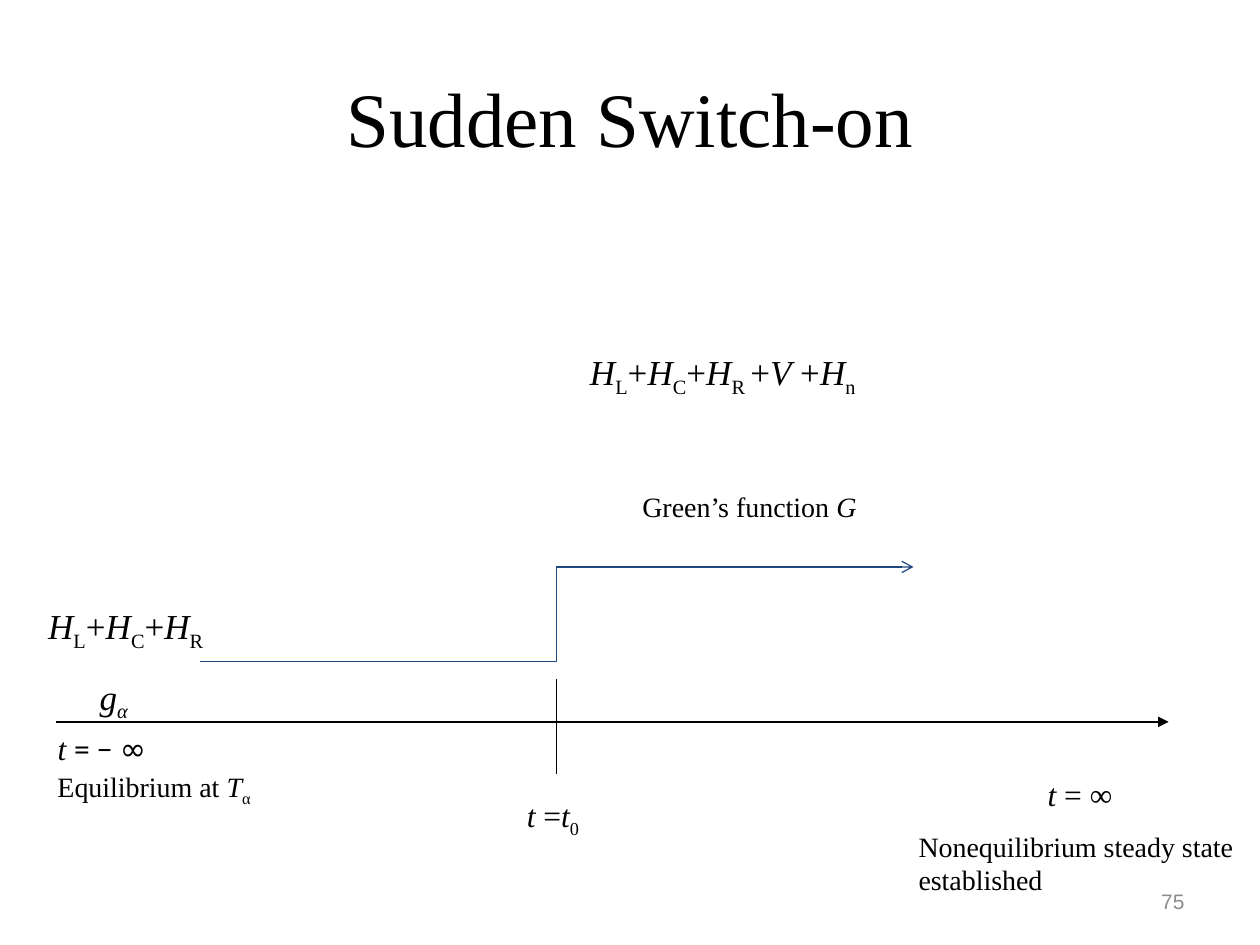
from lxml import etree
from pptx import Presentation
from pptx import util as u
from pptx.dml.color import RGBColor
from pptx.enum import shapes, text
from pptx.oxml import ns

BLACK = RGBColor(0, 0, 0)
BLUE = RGBColor(0x1F, 0x49, 0x7D)
GREY = RGBColor(0x8C, 0x8C, 0x8C)
SERIF = "Times New Roman"
CELL = u.Inches(10) / 120  # the slide is a grid of 120 columns and 90 rows

# Run styles
UP = {}
IT = {"italic": True}
SUB = {"base": -25}
ITSUB = {"italic": True, "base": -25}

# Hamiltonian of the three separate parts
PARTS = [("H", IT), ("L", SUB), ("+", UP), ("H", IT), ("C", SUB),
         ("+", UP), ("H", IT)]

# Labels: column, row, width, height, text size, runs
LABELS = [
    (98.6, 73.2, 11, 4.8, 18, [("t", IT), (" = ∞", UP)]),
    (4.3, 68.8, 16, 4.8, 18, [("t ", IT), ("= − ", {"name": "Calibri"}),
                              ("∞", {"name": "Comic Neue"})]),
    (3.4, 57, 19, 5.3, 20, PARTS + [("R", SUB)]),
    (55, 32.8, 34, 5.3, 20, PARTS + [("R ", SUB), ("+", UP), ("V", IT),
                                     (" +", UP), ("H", IT), ("n", SUB)]),
    (8.3, 63.7, 7.6, 5.2, 20, [("g", IT), ("α", ITSUB)]),
    (60, 46, 29, 4.4, 16, [("Green’s function ", UP), ("G", IT)]),
    (4.3, 72.7, 25, 4.4, 16, [("Equilibrium at ", UP), ("T", IT),
                              ("α", SUB)]),
    (86.3, 78.4, 37.4, 7.7, 16,
     [("Nonequilibrium steady state established", UP)]),
    (49, 75.2, 11, 4.8, 18, [("t ", IT), ("=", UP), ("t", IT), ("0", SUB)]),
]


def grid(*cells):
    return [u.Emu(round(n * CELL)) for n in cells]


def style(font, form):
    for key, val in form.items():
        if key == "color":
            font.color.rgb = val
        else:
            setattr(font, key, val)


def write(para, runs, size, name=SERIF, color=BLACK):
    for words, form in runs:
        run = para.add_run()
        run.text = words
        form = {"size": u.Pt(size), "name": name, "color": color, **form}
        base = form.pop("base", None)
        style(run.font, form)
        if base:
            run.font._element.set("baseline", str(base * 1000))


def label(slide, col, row, wide, high, size, runs, **form):
    box = slide.shapes.add_textbox(*grid(col, row, wide, high))
    frame = box.text_frame
    frame.word_wrap = True
    frame.auto_size = text.MSO_AUTO_SIZE.SHAPE_TO_FIT_TEXT
    write(frame.paragraphs[0], runs, size, **form)
    return frame


def line(slide, ends, color=BLACK, tip=None,
         kind=shapes.MSO_CONNECTOR.STRAIGHT):
    link = slide.shapes.add_connector(kind, *grid(*ends))
    link.line.color.rgb = color
    link.line.width = u.Pt(0.75)
    if tip:
        edge = link.line._get_or_add_ln()
        etree.SubElement(edge, ns.qn("a:tailEnd"), type=tip)
    etree.SubElement(link._element.spPr, ns.qn("a:effectLst"))


def head(slide, words):
    title = slide.shapes.title
    title.left, title.top, title.width, title.height = grid(6, 3.6, 108, 15)
    frame = title.text_frame
    frame.vertical_anchor = text.MSO_ANCHOR.MIDDLE
    para = frame.paragraphs[0]
    para.alignment = text.PP_ALIGN.CENTER
    write(para, [(words, UP)], 44)


def number(slide, words):
    frame = label(slide, 86, 83.4, 28, 4.8, 12, [(words, UP)],
                  name="Arial", color=GREY)
    frame.auto_size = text.MSO_AUTO_SIZE.NONE
    frame.vertical_anchor = text.MSO_ANCHOR.MIDDLE
    frame.paragraphs[0].alignment = text.PP_ALIGN.RIGHT


def main():
    deck = Presentation()
    deck.slide_width, deck.slide_height = grid(120, 90)
    slide = deck.slides.add_slide(deck.slide_layouts[5])

    # Title and page number
    head(slide, "Sudden Switch-on")
    number(slide, "75")

    # Time axis and the mark at the switch-on
    line(slide, (5.3, 68.75, 111.3, 68.75), tip="triangle")
    line(slide, (53, 64.7, 53, 73.7))

    # Labels of the states and times
    for item in LABELS:
        label(slide, *item)

    # Step of the sudden switch-on
    line(slide, (19, 63, 87, 54), BLUE, "arrow", shapes.MSO_CONNECTOR.ELBOW)

    deck.save("out.pptx")


if __name__ == "__main__":
    main()
